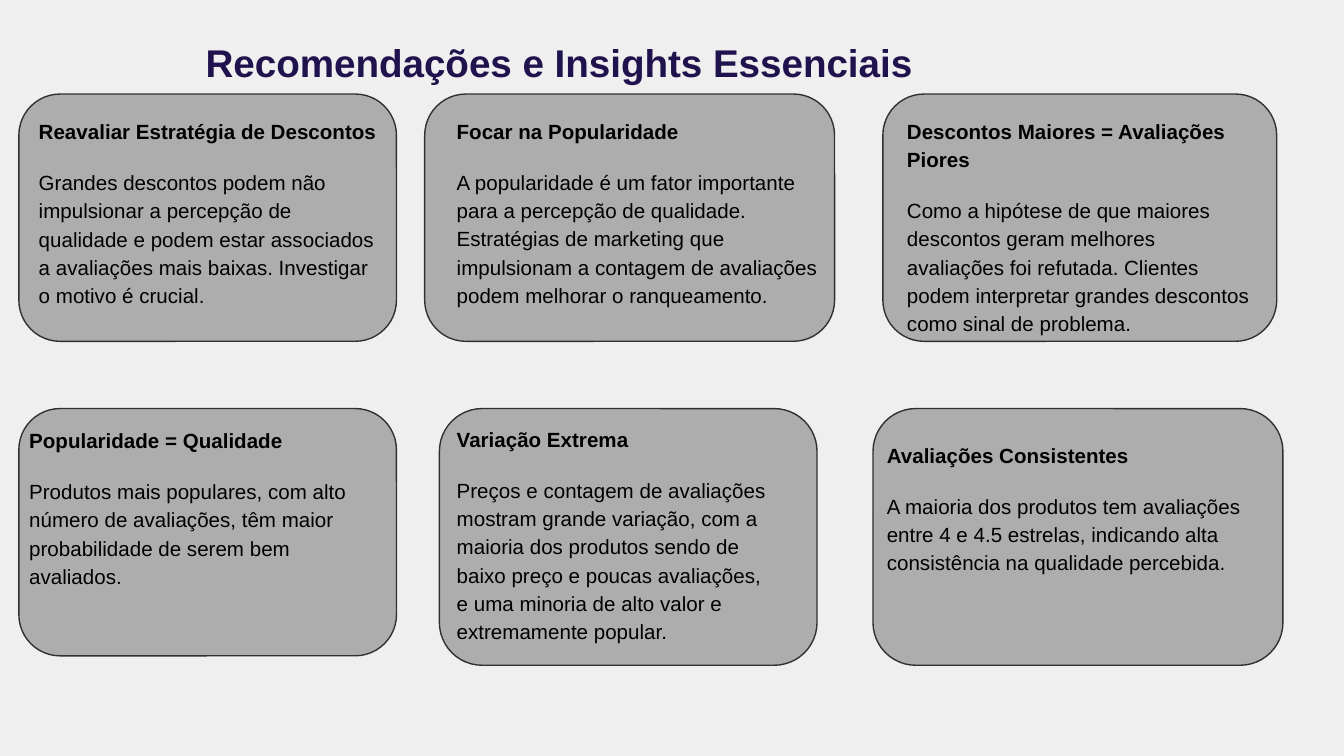
from pptx import Presentation
from pptx.dml.color import RGBColor
from pptx.enum.shapes import MSO_SHAPE
from pptx.enum.text import MSO_ANCHOR, MSO_AUTO_SIZE, PP_ALIGN
from pptx.util import Pt

COLORS = {
    "background": "EFEFEF",
    "card": "ADADAD",
    "outline": "303030",
    "title": "20124D",
    "text": "000000",
}
ROW_TOPS = (50.4, 218.9)

# Each card: row, (left, width, height), text box (left, top, width, height),
# heading, body
CARDS = [
    (0, (10.1, 202.3, 132.5), (13.7, 54.7, 198.7, 229),
     "Reavaliar Estratégia de Descontos",
     "Grandes descontos podem não impulsionar a percepção de qualidade e podem "
     "estar associados a avaliações mais baixas. Investigar o motivo é crucial."),
    (0, (227.5, 219.6, 132.5), (237.6, 54.7, 211, 180),
     "Focar na Popularidade",
     "A popularidade é um fator importante para a percepção de qualidade. "
     "Estratégias de marketing que impulsionam a contagem de avaliações podem "
     "melhorar o ranqueamento."),
    (0, (473, 211, 132.5), (478.8, 54.7, 202.3, 131.8),
     "Descontos Maiores = Avaliações Piores",
     "Como a hipótese de que maiores descontos geram melhores avaliações foi "
     "refutada. Clientes podem interpretar grandes descontos como sinal de "
     "problema."),
    (1, (10.1, 202.3, 132.5), (8.6, 220.3, 197.3, 101.5),
     "Popularidade = Qualidade",
     "Produtos mais populares, com alto número de avaliações, têm maior "
     "probabilidade de serem bem avaliados."),
    (1, (235.4, 202.3, 137.5), (237.6, 219.6, 182.9, 131.8),
     "Variação Extrema",
     "Preços e contagem de avaliações mostram grande variação, com a maioria "
     "dos produtos sendo de baixo preço e poucas avaliações, e uma minoria de "
     "alto valor e extremamente popular."),
    (1, (467.7, 219.6, 137.5), (468, 228.2, 223.9, 85.7),
     "Avaliações Consistentes",
     "A maioria dos produtos tem avaliações entre 4 e 4.5 estrelas, indicando "
     "alta consistência na qualidade percebida."),
]


def color(name):
    return RGBColor.from_string(COLORS[name])


class SlideBuilder:
    """Holds the style and the slide being built."""

    font_name = "Arial"
    title_size = 20.7
    text_size = 11
    line_spacing = 1.15
    paragraph_gap = 12
    inset = 7.2

    def __init__(self, slide):
        self.slide = slide
        slide.background.fill.solid()
        slide.background.fill.fore_color.rgb = color("background")

    def set_frame(self, text_frame):
        text_frame.word_wrap = True
        text_frame.margin_left = text_frame.margin_right = Pt(self.inset)
        text_frame.margin_top = text_frame.margin_bottom = Pt(self.inset)

    def format_runs(self, paragraph, size, color_name, bold):
        for run in paragraph.runs:
            run.font.name = self.font_name
            run.font.size = Pt(size)
            run.font.bold = bold
            run.font.color.rgb = color(color_name)

    def title(self, text, left, top, width, height):
        shape = self.slide.shapes.title
        shape.left, shape.top = Pt(left), Pt(top)
        shape.width, shape.height = Pt(width), Pt(height)
        text_frame = shape.text_frame
        self.set_frame(text_frame)
        text_frame.auto_size = MSO_AUTO_SIZE.NONE
        text_frame.vertical_anchor = MSO_ANCHOR.MIDDLE
        text_frame.text = text
        paragraph = text_frame.paragraphs[0]
        paragraph.alignment = PP_ALIGN.LEFT
        self.format_runs(paragraph, self.title_size, "title", True)

    def card(self, left, top, width, height):
        shape = self.slide.shapes.add_shape(
            MSO_SHAPE.ROUNDED_RECTANGLE,
            Pt(left), Pt(top), Pt(width), Pt(height))
        shape.shadow.inherit = False
        shape.fill.solid()
        shape.fill.fore_color.rgb = color("card")
        shape.line.color.rgb = color("outline")
        shape.line.width = Pt(0.75)

    def card_text(self, heading, body, left, top, width, height):
        box = self.slide.shapes.add_textbox(
            Pt(left), Pt(top), Pt(width), Pt(height))
        text_frame = box.text_frame
        self.set_frame(text_frame)
        text_frame.text = f"{heading}\n{body}"
        for paragraph, bold in zip(text_frame.paragraphs, (True, False)):
            paragraph.line_spacing = self.line_spacing
            self.format_runs(paragraph, self.text_size, "text", bold)
        text_frame.paragraphs[1].space_before = Pt(self.paragraph_gap)


def main():
    presentation = Presentation()
    presentation.slide_width = Pt(720)
    presentation.slide_height = Pt(405)
    title_only = presentation.slide_layouts[5]
    builder = SlideBuilder(presentation.slides.add_slide(title_only))

    builder.title("Recomendações e Insights Essenciais", 103, 15.5, 430, 36)
    for row, (left, width, height), text_area, heading, body in CARDS:
        builder.card(left, ROW_TOPS[row], width, height)
        builder.card_text(heading, body, *text_area)

    presentation.save("out.pptx")


if __name__ == "__main__":
    main()
